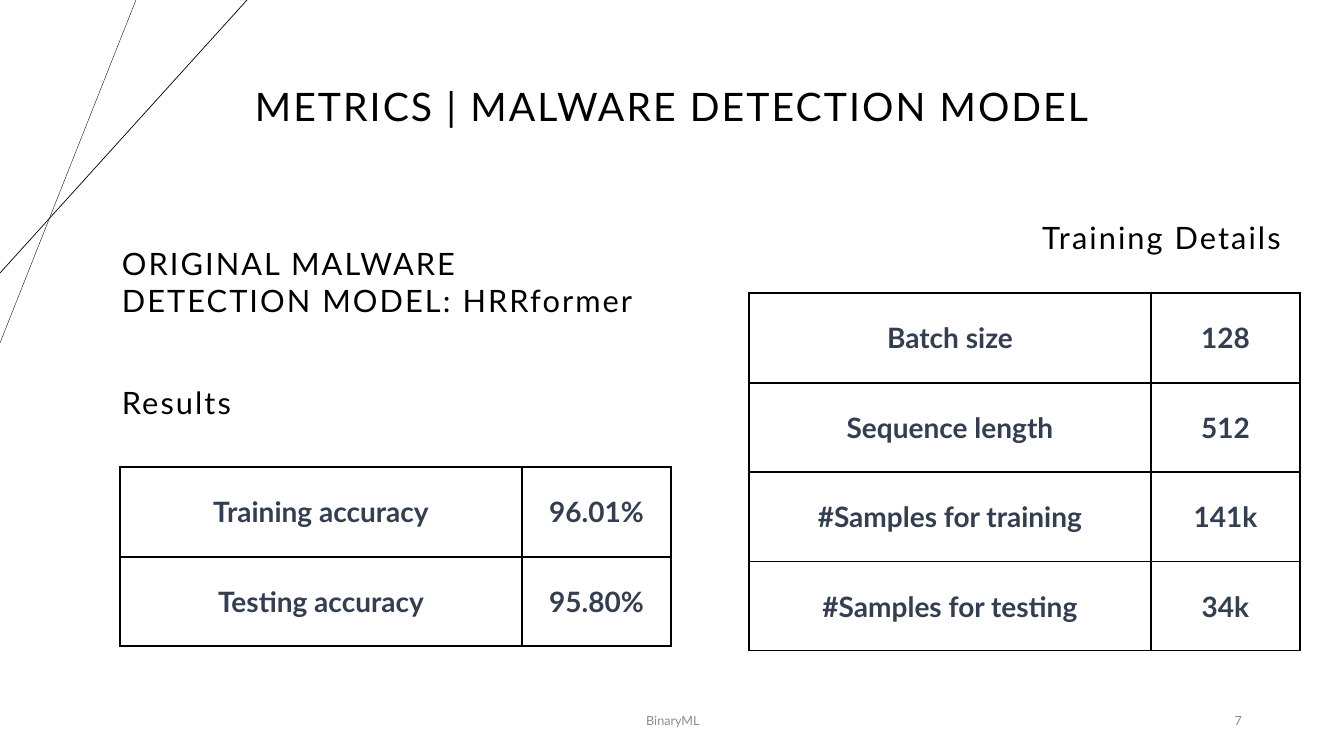
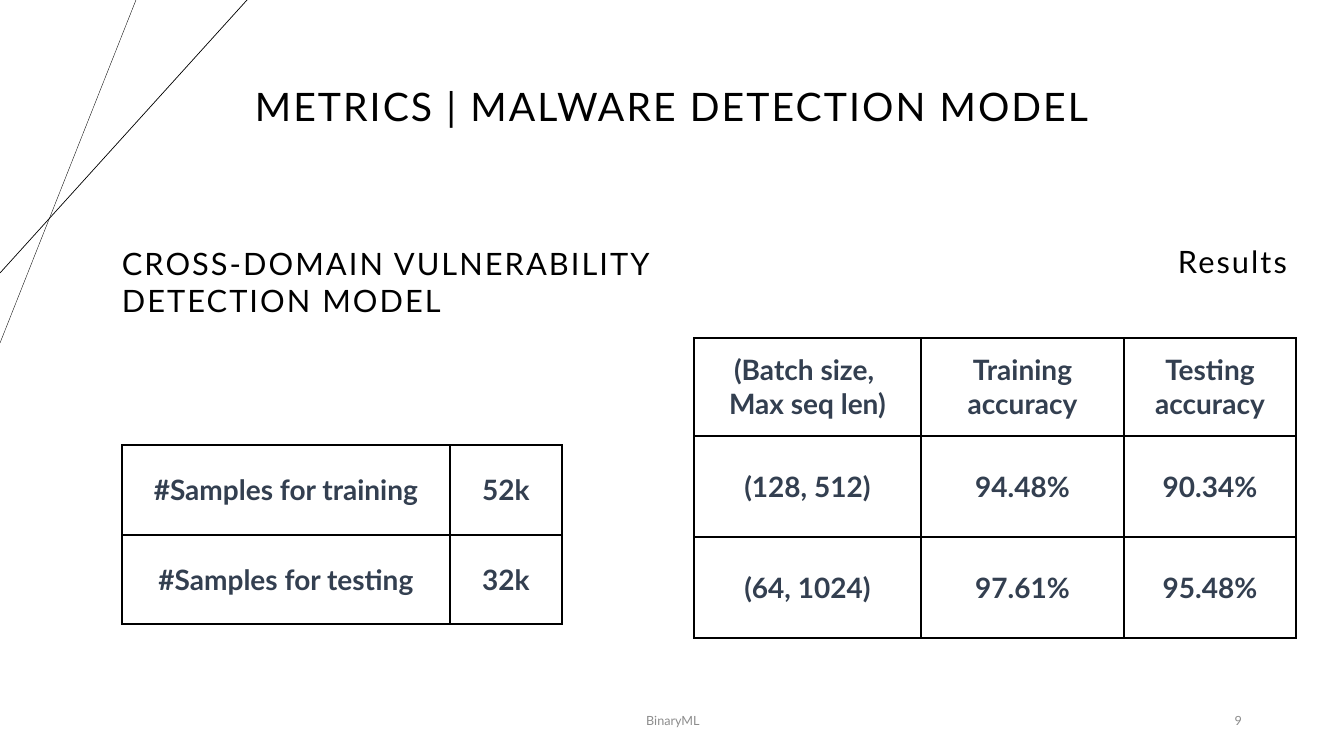
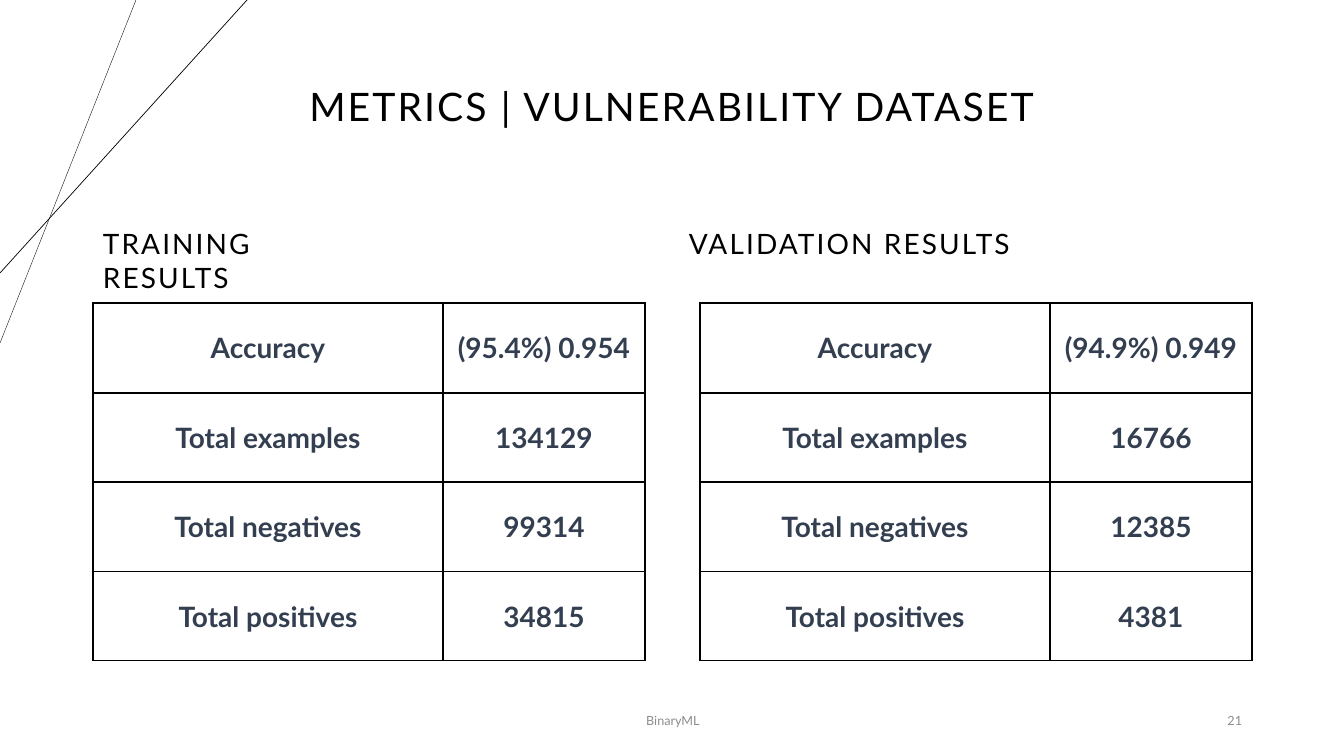
"""Build three slides of model and dataset metrics in tables."""
from dataclasses import dataclass

from lxml import etree
from pptx import Presentation
from pptx.dml.color import RGBColor as Rgb
from pptx.enum.shapes import MSO_CONNECTOR as Connector
from pptx.enum.text import MSO_ANCHOR as Anchor, PP_ALIGN as Align
from pptx.oxml.ns import qn
from pptx.util import Pt


@dataclass(frozen=True)
class Theme:
    font: str = "Lato"
    ink: str = "000000"
    cell_ink: str = "333F50"
    muted: str = "8C8C8C"
    title: int = 28
    heading: int = 22
    subheading: int = 20
    cell: int = 20
    footer: int = 9
    tracking: int = 150


theme = Theme()
WIDTH, HEIGHT = 1344, 756
PX = 12192000 / WIDTH
FOUR_ROWS = (90, 89, 90, 89)
TWO_ROWS = FOUR_ROWS[:2]


def emu(*lengths):
    return [round(length * PX) for length in lengths]


def write(frame, text, size, color, align, bold=False, tracking=0, spacing=1.0):
    frame.word_wrap = True
    for index, line in enumerate(text.split("\n")):
        paragraph = frame.add_paragraph() if index else frame.paragraphs[0]
        paragraph.alignment = align
        paragraph.line_spacing = spacing
        run = paragraph.add_run()
        run.text = line
        run.font.name = theme.font
        run.font.size = Pt(size)
        run.font.bold = bold
        run.font.color.rgb = Rgb.from_string(color)
        if tracking:
            run.font._element.set("spc", str(tracking))


metrics_slides = [
    {
        "title": "METRICS | MALWARE DETECTION MODEL",
        "number": "7",
        "headings": [
            ("ORIGINAL MALWARE DETECTION MODEL: HRRformer",
             (112, 240, 551, 85), theme.heading, Align.LEFT),
            ("Results", (112, 379, 321, 47), theme.heading, Align.LEFT),
            ("Training Details ", (980, 214, 321, 47), theme.heading, Align.RIGHT),
        ],
        "tables": [
            ((749, 293), (402, 149), FOUR_ROWS, [
                ("Batch size", "128"),
                ("Sequence length", "512"),
                ("#Samples for training", "141k"),
                ("#Samples for testing", "34k"),
            ]),
            ((120, 467), (402, 149), TWO_ROWS, [
                ("Training accuracy", "96.01%"),
                ("Testing accuracy", "95.80%"),
            ]),
        ],
    },
    {
        "title": "METRICS | MALWARE DETECTION MODEL",
        "number": "9",
        "headings": [
            ("CROSS-DOMAIN VULNERABILITY DETECTION MODEL",
             (112, 240, 551, 85), theme.heading, Align.LEFT),
            ("Results", (976, 238, 321, 47), theme.heading, Align.RIGHT),
        ],
        "tables": [
            ((122, 445), (328, 112), TWO_ROWS, [
                ("#Samples for training", "52k"),
                ("#Samples for testing", "32k"),
            ]),
            ((694, 338), (227, 203, 172), (98, 101, 101), [
                ("(Batch size, \nMax seq len)", "Training accuracy", "Testing accuracy"),
                ("(128, 512)", "94.48%", "90.34%"),
                ("(64, 1024)", "97.61%", "95.48%"),
            ]),
        ],
    },
    {
        "title": "METRICS | VULNERABILITY DATASET",
        "number": "21",
        "headings": [
            ("TRAINING RESULTS", (93, 222, 296, 44), theme.subheading, Align.LEFT),
            ("VALIDATION RESULTS", (679, 222, 370, 44), theme.subheading, Align.LEFT),
        ],
        "tables": [
            ((93, 303), (350, 202), FOUR_ROWS, [
                ("Accuracy", "(95.4%) 0.954"),
                ("Total examples", "134129"),
                ("Total negatives", "99314"),
                ("Total positives", "34815"),
            ]),
            ((700, 303), (350, 202), FOUR_ROWS, [
                ("Accuracy", "(94.9%) 0.949"),
                ("Total examples", "16766"),
                ("Total negatives", "12385"),
                ("Total positives", "4381"),
            ]),
        ],
    },
]

deck = Presentation()
deck.slide_width, deck.slide_height = emu(WIDTH, HEIGHT)

for content in metrics_slides:
    slide = deck.slides.add_slide(deck.slide_layouts[6])

    for top_x, left_y, weight in ((136, 343, 0.25), (247, 273, 0.5)):
        ray = slide.shapes.add_connector(Connector.STRAIGHT, *emu(top_x, 0, 0, left_y))
        ray.line.color.rgb = Rgb.from_string(theme.ink)
        ray.line.width = Pt(weight)
        etree.SubElement(ray._element.spPr, qn("a:effectLst"))

    title = slide.shapes.add_textbox(*emu(208, 36, 928, 146)).text_frame
    title.vertical_anchor = Anchor.MIDDLE
    write(title, content["title"], theme.title, theme.ink, Align.CENTER,
          tracking=theme.tracking, spacing=0.9)

    for text, place, align in (
        ("BinaryML", (446, 701, 454, 40), Align.CENTER),
        (content["number"], (950, 701, 302, 40), Align.RIGHT),
    ):
        footer = slide.shapes.add_textbox(*emu(*place)).text_frame
        footer.vertical_anchor = Anchor.MIDDLE
        write(footer, text, theme.footer, theme.muted, align)

    for text, place, size, align in content["headings"]:
        heading = slide.shapes.add_textbox(*emu(*place)).text_frame
        write(heading, text, size, theme.ink, align, tracking=theme.tracking)

    for corner, widths, heights, records in content["tables"]:
        metrics = slide.shapes.add_table(
            len(heights), len(widths), *emu(*corner, sum(widths), sum(heights))).table
        metrics.first_row = metrics.horz_banding = False
        for column, width in zip(metrics.columns, emu(*widths)):
            column.width = width
        for row, height, record in zip(metrics.rows, emu(*heights), records):
            row.height = height
            for cell, value in zip(row.cells, record):
                cell.vertical_anchor = Anchor.MIDDLE
                properties = cell._tc.get_or_add_tcPr()
                for side in ("a:lnL", "a:lnR", "a:lnT", "a:lnB"):
                    border = etree.SubElement(properties, qn(side), w=str(Pt(1)))
                    paint = etree.SubElement(border, qn("a:solidFill"))
                    etree.SubElement(paint, qn("a:srgbClr"), val=theme.ink)
                cell.fill.background()
                write(cell.text_frame, value, theme.cell, theme.cell_ink,
                      Align.CENTER, bold=True)

deck.save("out.pptx")
